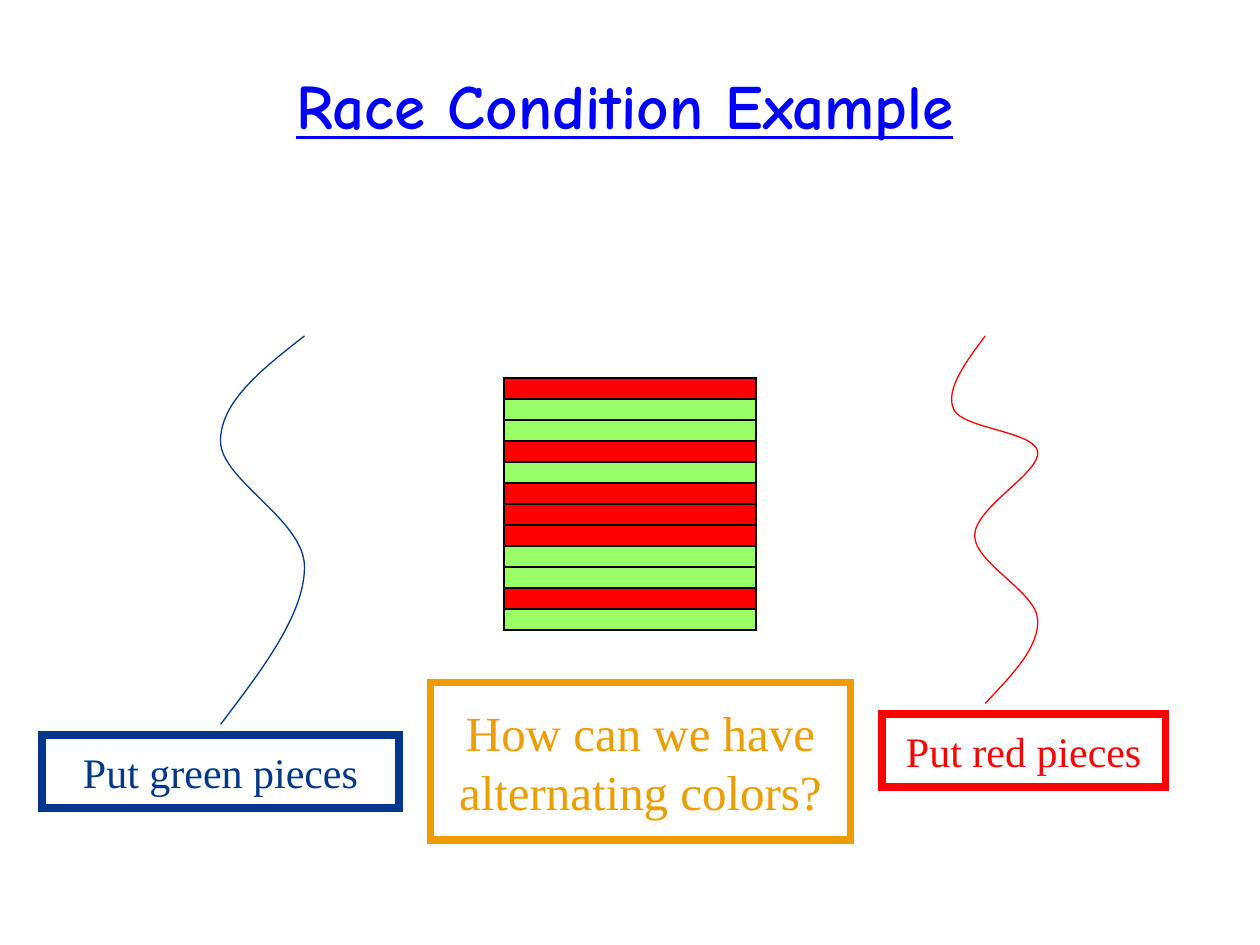
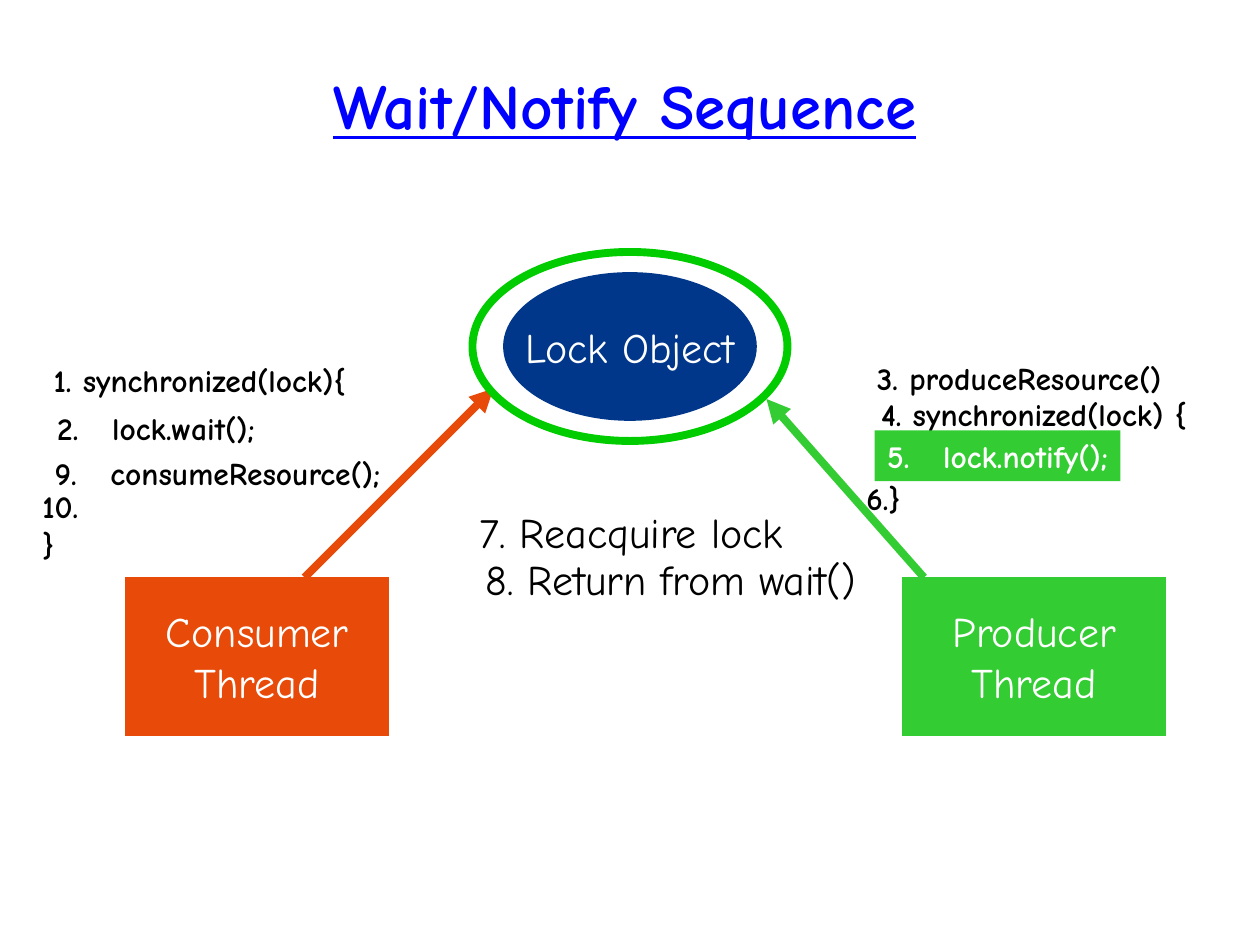
from lxml import etree
from pptx import Presentation
from pptx.dml.color import RGBColor
from pptx.enum.shapes import MSO_CONNECTOR, MSO_SHAPE
from pptx.enum.text import MSO_ANCHOR, MSO_AUTO_SIZE, PP_ALIGN
from pptx.oxml.ns import qn
from pptx.util import Pt

RECTANGLE, OVAL = MSO_SHAPE.RECTANGLE, MSO_SHAPE.OVAL
STRAIGHT = MSO_CONNECTOR.STRAIGHT
LEFT, CENTER = PP_ALIGN.LEFT, PP_ALIGN.CENTER
TOP, MIDDLE = MSO_ANCHOR.TOP, MSO_ANCHOR.MIDDLE
NO_AUTOFIT, FIT_SHAPE = MSO_AUTO_SIZE.NONE, MSO_AUTO_SIZE.SHAPE_TO_FIT_TEXT
TITLE_ONLY = 5
COMIC, SERIF = "Comic Neue", "Times New Roman"
THICK, THIN = 4.5, 0.75

COLORS = {
    "title": "0000FF",
    "navy": "00378A",
    "red": "FF0000",
    "amber": "EC9D00",
    "light green": "99FF66",
    "orange": "E84A09",
    "green": "33CC33",
    "ring green": "00CC00",
    "black": "000000",
    "white": "FFFFFF",
}

# Stacked pieces from bottom to top
PIECES = ["light green", "red", "light green", "light green", "red", "red",
          "red", "light green", "red", "light green", "light green", "red"]

# Thread paths: a start point, then two controls and an end point per curve
GREEN_THREAD = [(174, 192),
                (150, 210.75), (126, 229.5), (126, 252),
                (126, 274.5), (174, 297), (174, 324),
                (174, 351), (150, 382.5), (126, 414)]
RED_THREAD = [(563, 192),
              (551.5, 207.5), (540, 223), (545, 234),
              (550, 245), (591, 246.5), (593, 258),
              (595, 270), (557, 290), (557, 306),
              (557, 322), (592, 338), (593, 354),
              (594, 370), (578, 386), (563, 402)]

# Steps: text, left, top, width
WAIT_STEPS = [
    ("1. synchronized(lock){", 23.5, 203, 181.5),
    ("2.   lock.wait();", 25.6, 230.1, 127.5),
]
PRODUCE_STEPS = [
    ("3. produceResource()", 494, 201.5, 178),
    ("4. synchronized(lock) {", 496.4, 222, 189.4),
]
NOTIFY_STEP = ("5.   lock.notify();", 499.8, 246, 140.4)
RELEASE_STEP = ("6.}", 488, 270, 34)
LOCK_STEPS = [
    ("7. Reacquire lock", 267, 286, 189),
    ("8. Return from wait()", 270.5, 312.5, 227),
]
CONSUME_STEPS = [
    ("9.   consumeResource();", 24.1, 255.9, 201),
    ("10. }", 17.1, 275, 48),
]


def rgb(name):
    return RGBColor.from_string(COLORS[name])


def write_lines(shape, lines, size, color, font=COMIC, bold=False,
                align=CENTER, anchor=MIDDLE):
    frame = shape.text_frame
    frame.word_wrap = False
    frame.auto_size = NO_AUTOFIT
    frame.vertical_anchor = anchor
    for index, line in enumerate(lines):
        paragraph = frame.add_paragraph() if index else frame.paragraphs[0]
        paragraph.alignment = align
        run = paragraph.add_run()
        run.text = line
        run.font.name = font
        run.font.size = Pt(size)
        run.font.bold = bold
        run.font.color.rgb = rgb(color)


def style_outline(shape, fill, line, width):
    shape.shadow.inherit = False
    if fill:
        shape.fill.solid()
        shape.fill.fore_color.rgb = rgb(fill)
    else:
        shape.fill.background()
    if line:
        shape.line.color.rgb = rgb(line)
        shape.line.width = Pt(width)
        etree.SubElement(shape._element.spPr.get_or_add_ln(), qn("a:miter"),
                         lim="800000")
    else:
        shape.line.fill.background()


def add_figure(slide, kind, box, fill=None, line=None, width=1):
    shape = slide.shapes.add_shape(kind, *map(Pt, box))
    style_outline(shape, fill, line, width)
    return shape


def add_titled_slide(presentation, title):
    slide = presentation.slides.add_slide(presentation.slide_layouts[TITLE_ONLY])
    shape = slide.shapes.title
    shape.left, shape.top, shape.width, shape.height = map(Pt, (72, 30, 570, 66))
    write_lines(shape, [title], 36, "title", bold=True)
    shape.text_frame.word_wrap = True
    paragraph = shape.text_frame.paragraphs[0]
    paragraph.line_spacing = 0.85
    paragraph.runs[0].font.underline = True
    return slide


def add_caption(slide, box, lines, color, size):
    shape = add_figure(slide, RECTANGLE, box, line=color, width=THICK)
    write_lines(shape, lines, size, color, SERIF)


def bend_segments(shape):
    """Turn each three straight segments of a freeform into one cubic curve."""
    segments = list(shape._element.iter(qn("a:lnTo")))
    for first in range(0, len(segments), 3):
        group = segments[first:first + 3]
        curve = etree.Element(qn("a:cubicBezTo"))
        group[0].addprevious(curve)
        for segment in group:
            curve.append(segment[0])
            segment.getparent().remove(segment)


def add_thread(slide, points, color):
    start, *others = [tuple(map(Pt, point)) for point in points]
    builder = slide.shapes.build_freeform(*start)
    builder.add_line_segments(others, close=False)
    shape = builder.convert_to_shape()
    bend_segments(shape)
    style_outline(shape, None, color, THIN)


def add_arrow(slide, start, end, color):
    connector = slide.shapes.add_connector(STRAIGHT, *map(Pt, start + end))
    connector.line.color.rgb = rgb(color)
    connector.line.width = Pt(THICK)
    properties = connector._element.spPr
    line = properties.get_or_add_ln()
    etree.SubElement(line, qn("a:miter"), lim="800000")
    etree.SubElement(line, qn("a:tailEnd"), type="triangle")
    etree.SubElement(properties, qn("a:effectLst"))


def add_step(slide, step, size=18, bold=True, height=29, color="black", fill=None):
    text, *corner_and_width = step
    box = (*corner_and_width, height)
    if fill:
        shape = add_figure(slide, RECTANGLE, box, fill)
    else:
        shape = slide.shapes.add_textbox(*map(Pt, box))
    write_lines(shape, [text], size, color, bold=bold, align=LEFT, anchor=TOP)
    shape.text_frame.auto_size = FIT_SHAPE


def add_thread_box(slide, left, name, color):
    shape = add_figure(slide, RECTANGLE, (left, 330, 150, 90), color, color)
    write_lines(shape, [name, "Thread"], 24, "white")


def build_race_slide(presentation):
    slide = add_titled_slide(presentation, "Race Condition Example")
    add_thread(slide, GREEN_THREAD, "navy")
    add_thread(slide, RED_THREAD, "red")
    add_caption(slide, (24, 420, 204, 42), ["Put green pieces"], "navy", 24)
    add_caption(slide, (504, 408, 162, 42), ["Put red pieces"], "red", 24)
    add_caption(slide, (246, 390, 240, 90),
                ["How can we have", "alternating colors?"], "amber", 28)
    for level, color in enumerate(PIECES):
        add_figure(slide, RECTANGLE, (288, 348 - 12 * level, 144, 12),
                   color, "black", THIN)


def build_notify_slide(presentation):
    slide = add_titled_slide(presentation, "Wait/Notify Sequence")
    lock = add_figure(slide, OVAL, (288, 156, 144, 84), "navy", "navy")
    write_lines(lock, ["Lock Object"], 24, "white")
    add_thread_box(slide, 72, "Consumer", "orange")
    add_thread_box(slide, 516, "Producer", "green")
    add_arrow(slide, (174, 330), (282, 222), "orange")
    for step in WAIT_STEPS:
        add_step(slide, step)
    add_arrow(slide, (528, 330), (438, 228), "green")
    for step in PRODUCE_STEPS:
        add_step(slide, step)
    add_step(slide, NOTIFY_STEP, color="white", fill="green")
    add_step(slide, RELEASE_STEP)
    for step in LOCK_STEPS:
        add_step(slide, step, size=24, bold=False, height=36)
    for step in CONSUME_STEPS:
        add_step(slide, step)
    add_figure(slide, OVAL, (270, 144, 180, 108), line="ring green", width=THICK)


def main():
    presentation = Presentation()
    presentation.slide_width, presentation.slide_height = Pt(720), Pt(540)
    build_race_slide(presentation)
    build_notify_slide(presentation)
    presentation.save("out.pptx")


if __name__ == "__main__":
    main()
